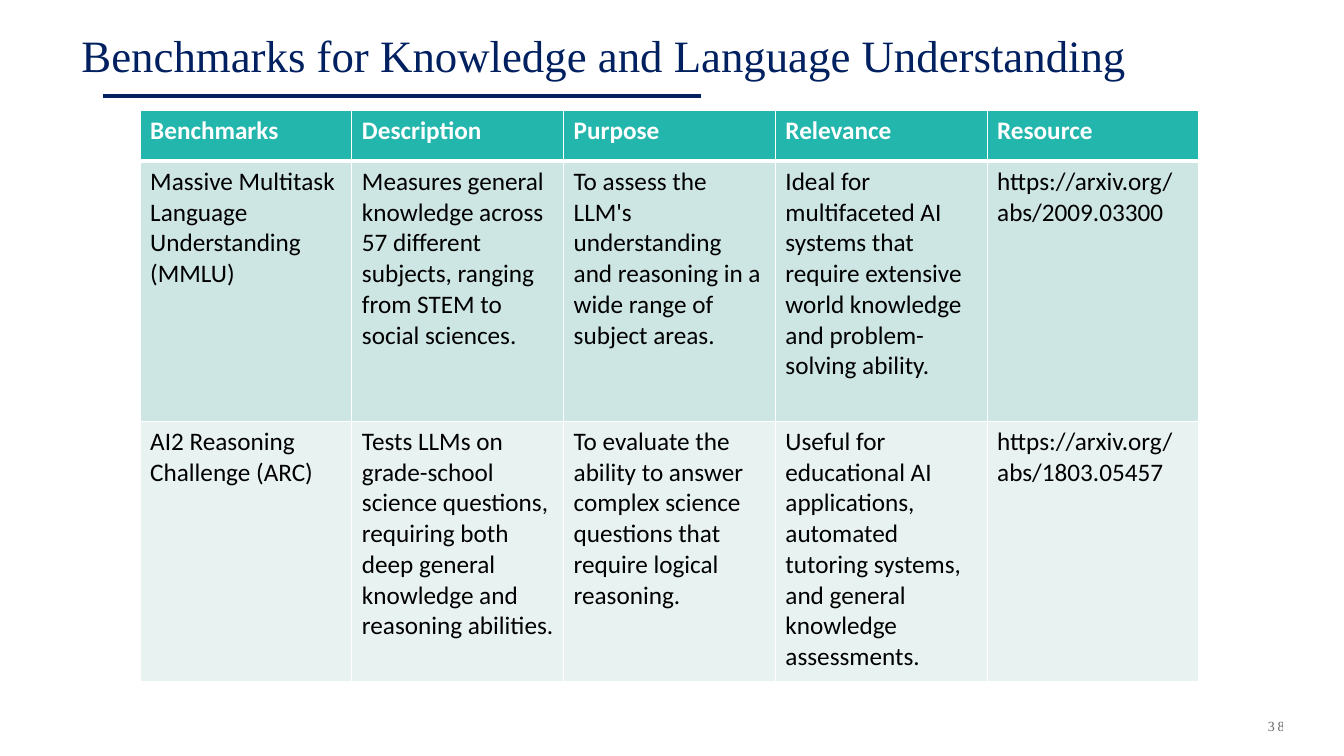
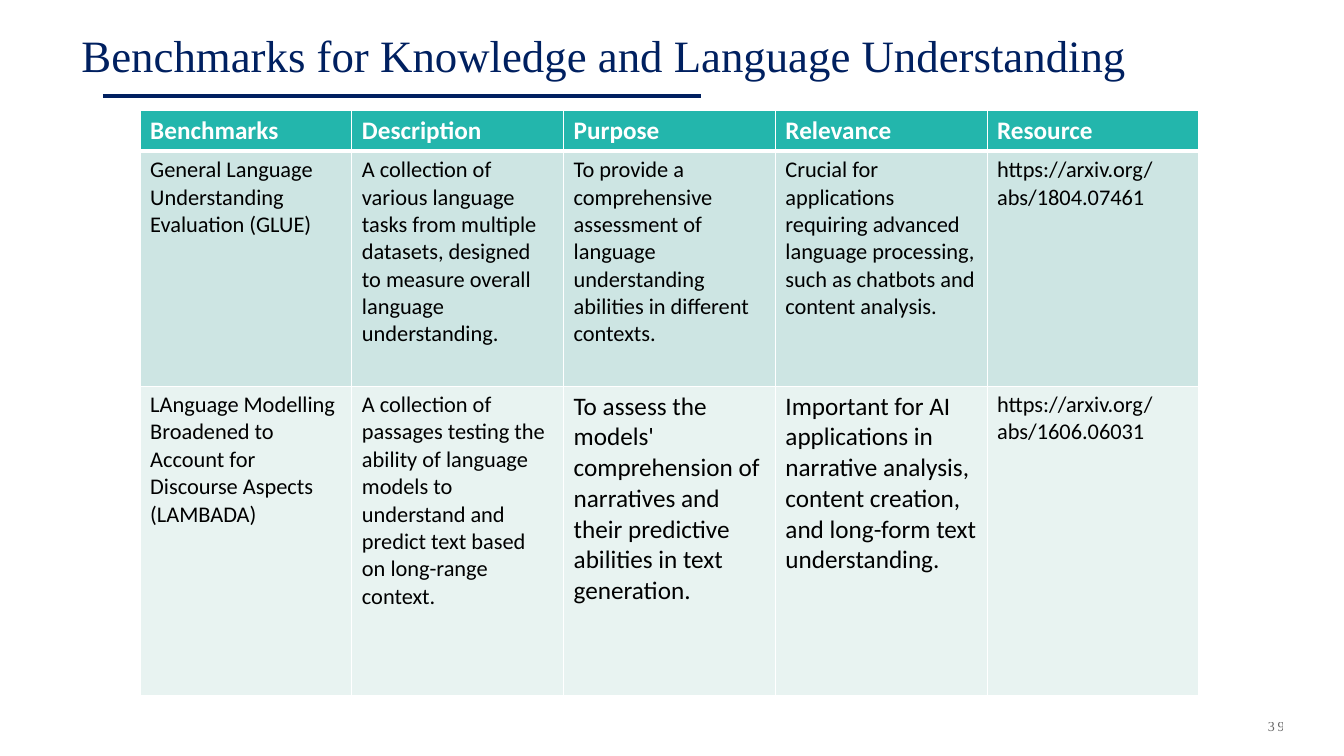
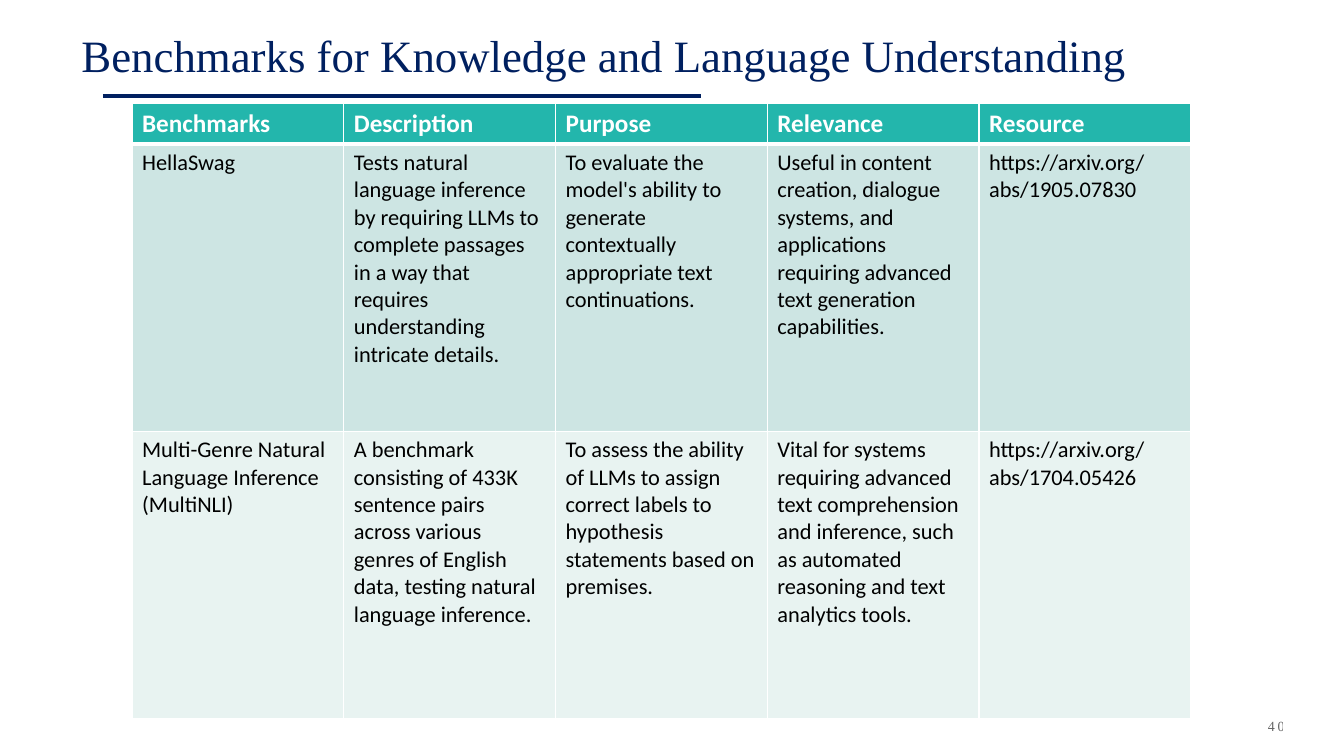
from dataclasses import dataclass

from lxml.etree import SubElement
from pptx import Presentation
from pptx.dml.color import RGBColor
from pptx.enum.shapes import MSO_CONNECTOR
from pptx.enum.text import MSO_ANCHOR, PP_ALIGN
from pptx.oxml.ns import qn
from pptx.util import Inches, Pt

NAVY, TEAL, MINT, PALE = "002060", "23B6AC", "CDE5E3", "E8F3F1"
WHITE, BLACK = "FFFFFF", "000000"
SERIF, SANS = "Times New Roman", "Calibri"
TITLE = "Benchmarks for Knowledge and Language Understanding"
HEADS = ("Benchmarks", "Description", "Purpose", "Relevance", "Resource")
WIDTH = 2.1
FIRST = 38


@dataclass(frozen=True)
class Bench:
    height: float
    texts: tuple[str, ...]
    sizes: tuple[int, ...] = (16,) * 5


@dataclass(frozen=True)
class Page:
    left: float
    top: float
    head: float
    rows: tuple[Bench, ...]


PAGES = (
    Page(1.39, 1.1, 0.5, (
        Bench(2.58, (
            "Massive Multitask Language Understanding\n(MMLU)",
            "Measures general knowledge across 57 different subjects, ranging from STEM to social sciences.",
            "To assess the LLM's understanding and reasoning in a wide range of subject areas.",
            "Ideal for multifaceted AI systems that require extensive world knowledge and problem-solving ability.",
            "https://arxiv.org/abs/2009.03300",
        ), (18,) * 5),
        Bench(2.58, (
            "AI2 Reasoning Challenge (ARC)",
            "Tests LLMs on grade-school science questions, requiring both deep general knowledge and reasoning abilities.",
            "To evaluate the ability to answer complex science questions that require logical reasoning.",
            "Useful for educational AI applications, automated tutoring systems, and general knowledge assessments.",
            "https://arxiv.org/abs/1803.05457",
        ), (18,) * 5),
    )),
    Page(1.39, 1.1, 0.4, (
        Bench(2.33, (
            "General Language Understanding Evaluation (GLUE)",
            "A collection of various language tasks from multiple datasets, designed to measure overall language understanding.",
            "To provide a comprehensive assessment of language understanding abilities in different contexts.",
            "Crucial for applications requiring advanced language processing, such as chatbots and content analysis.",
            "https://arxiv.org/abs/1804.07461",
        )),
        Bench(3.07, (
            "LAnguage Modelling Broadened to Account for Discourse Aspects (LAMBADA)",
            "A collection of passages testing the ability of language models to understand and predict text based on long-range context.",
            "To assess the models' comprehension of narratives and their predictive abilities in text generation.",
            "Important for AI applications in narrative analysis, content creation, and long-form text understanding.",
            "https://arxiv.org/abs/1606.06031",
        ), (16, 16, 18, 18, 16)),
    )),
    Page(1.31, 1.03, 0.4, (
        Bench(2.85, (
            "HellaSwag",
            "Tests natural language inference by requiring LLMs to complete passages in a way that requires understanding intricate details.",
            "To evaluate the model's ability to generate contextually appropriate text continuations.",
            "Useful in content creation, dialogue systems, and applications requiring advanced text generation capabilities.",
            "https://arxiv.org/abs/1905.07830",
        )),
        Bench(2.85, (
            "Multi-Genre Natural Language Inference (MultiNLI)",
            "A benchmark consisting of 433K sentence pairs across various genres of English data, testing natural language inference.",
            "To assess the ability of LLMs to assign correct labels to hypothesis statements based on premises.",
            "Vital for systems requiring advanced text comprehension and inference, such as automated reasoning and text analytics tools.",
            "https://arxiv.org/abs/1704.05426",
        )),
    )),
)


def paint(target, tint: str) -> None:
    target.solid()
    target.fore_color.rgb = RGBColor.from_string(tint)


def write(frame, text: str, *, size: int, tint: str = BLACK, face: str = SANS,
          bold: bool = False, align=PP_ALIGN.LEFT, alpha: int = 100, space: int = 0) -> None:
    frame.word_wrap = True
    frame.text = text
    for para in frame.paragraphs:
        para.alignment = align
        for run in para.runs:
            font = run.font
            font.name, font.size, font.bold = face, Pt(size), bold
            paint(font.fill, tint)
            props = run._r.get_or_add_rPr()
            if space:
                props.set("spc", str(space * 100))
            if alpha < 100:
                color = props.find(qn("a:solidFill")).find(qn("a:srgbClr"))
                SubElement(color, qn("a:alpha"), val=str(alpha * 1000))


def add_box(slide, left: float, top: float, width: float, height: float, anchor):
    box = slide.shapes.add_textbox(Inches(left), Inches(top), Inches(width), Inches(height))
    box.text_frame.vertical_anchor = anchor
    return box.text_frame


def add_frame(slide, number: int) -> None:
    rule = slide.shapes.add_connector(
        MSO_CONNECTOR.STRAIGHT, Inches(1.02), Inches(0.95), Inches(6.95), Inches(0.95))
    paint(rule.line.fill, NAVY)
    rule.line.width = Pt(2.5)
    SubElement(rule._element.spPr, qn("a:effectLst"))
    title = add_box(slide, 0.71, 0, 12.4, 0.86, MSO_ANCHOR.BOTTOM)
    write(title, TITLE, size=32, tint=NAVY, face=SERIF)
    foot = add_box(slide, 10.92, 6.95, 1.92, 0.5, MSO_ANCHOR.MIDDLE)
    write(foot, str(number), size=10, face=SERIF, align=PP_ALIGN.RIGHT, alpha=60, space=2)


def edge(cell, **widths: int) -> None:
    props = cell._tc.get_or_add_tcPr()
    for side in "LRTB":
        line = SubElement(props, qn(f"a:ln{side}"), w=str(Pt(widths.get(side, 1))))
        SubElement(SubElement(line, qn("a:solidFill")), qn("a:srgbClr"), val=WHITE)


def add_grid(slide, page: Page) -> None:
    rows = (Bench(page.head, HEADS, (18,) * 5), *page.rows)
    total = sum(row.height for row in rows)
    grid = slide.shapes.add_table(
        len(rows), len(HEADS), Inches(page.left), Inches(page.top),
        Inches(WIDTH * len(HEADS)), Inches(total)).table
    for column in grid.columns:
        column.width = Inches(WIDTH)
    for index, (row, fill) in enumerate(zip(rows, (TEAL, MINT, PALE))):
        grid.rows[index].height = Inches(row.height)
        head = index == 0
        for place, (text, size) in enumerate(zip(row.texts, row.sizes)):
            cell = grid.cell(index, place)
            edge(cell, T=3 if index == 1 else 1, B=3 if head else 1)
            paint(cell.fill, fill)
            write(cell.text_frame, text, size=size, bold=head, tint=WHITE if head else BLACK)


def main() -> None:
    deck = Presentation()
    deck.slide_width, deck.slide_height = Inches(13.33), Inches(7.5)
    for number, page in enumerate(PAGES, FIRST):
        slide = deck.slides.add_slide(deck.slide_layouts[6])
        add_frame(slide, number)
        add_grid(slide, page)
    deck.save("out.pptx")


if __name__ == "__main__":
    main()
